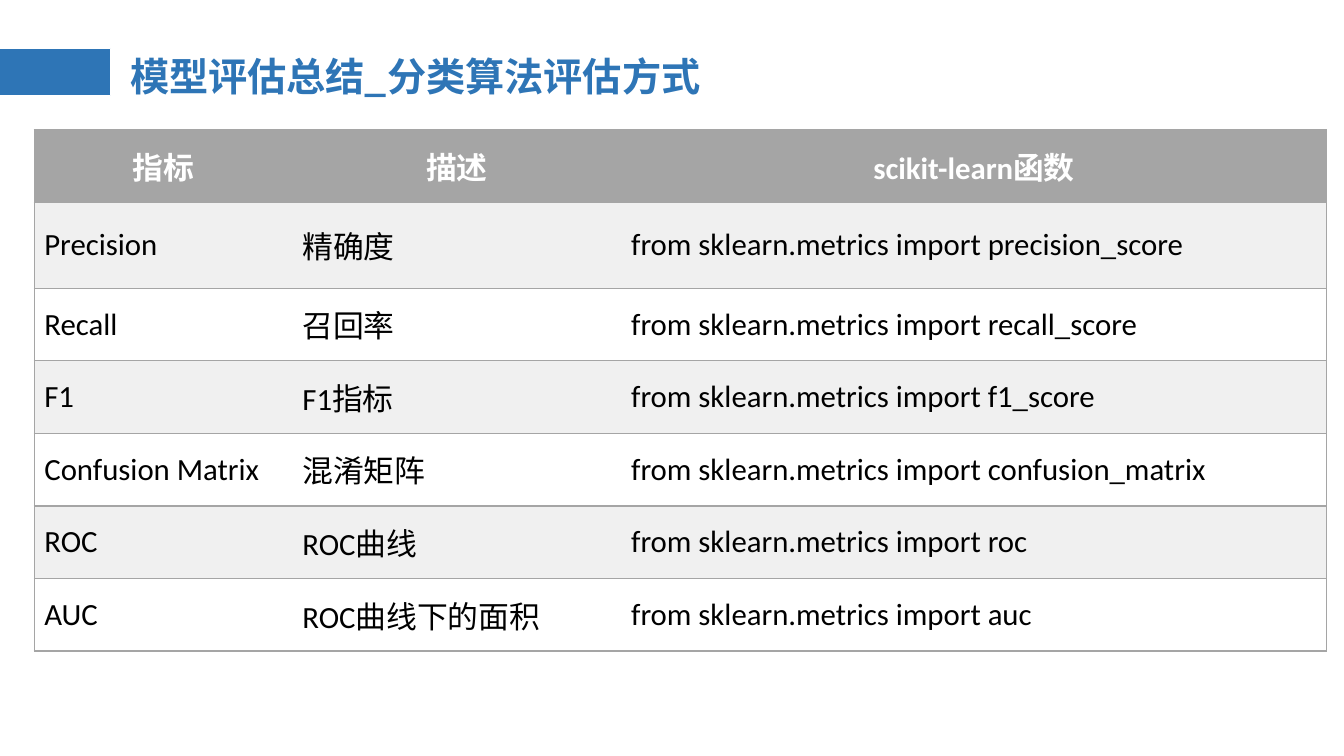
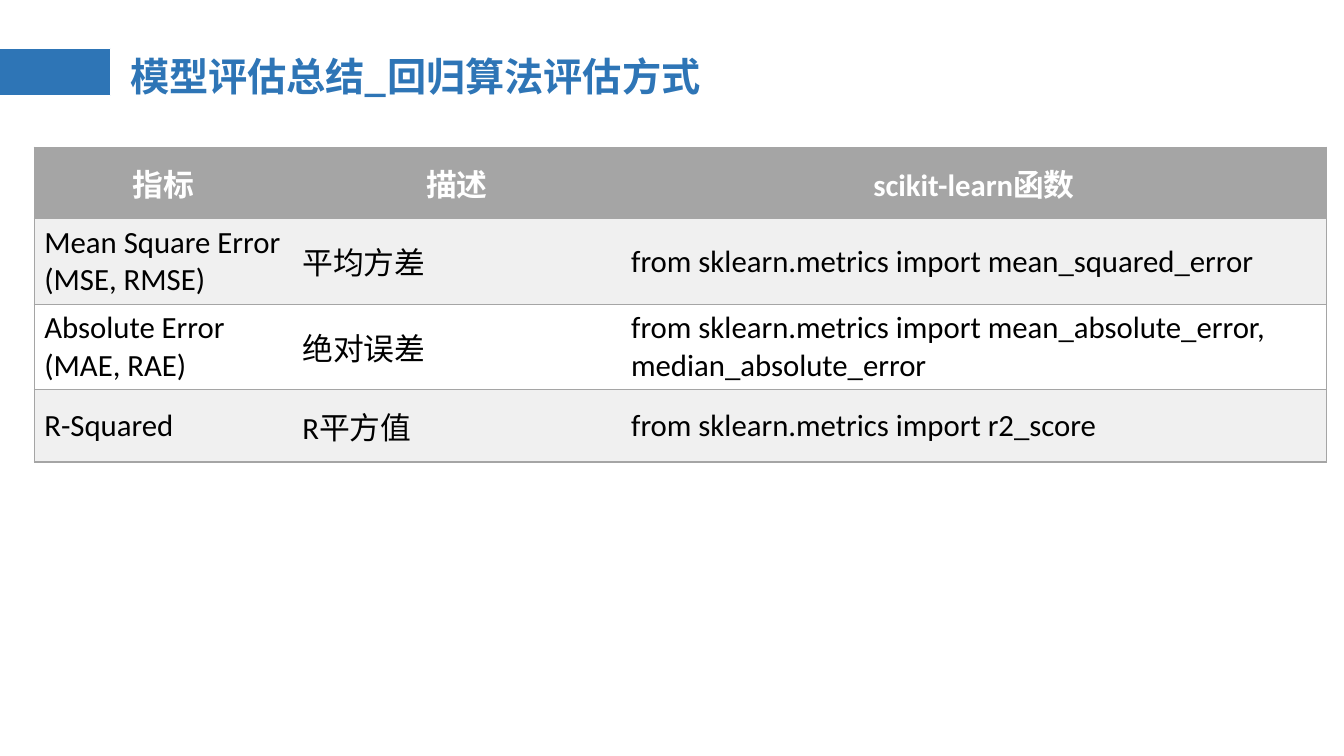
from dataclasses import dataclass

from lxml import etree
from pptx import Presentation
from pptx.dml.color import RGBColor
from pptx.enum import shapes, text
from pptx.oxml import ns
from pptx.util import Inches, Pt

COLORS = {
    "accent": "2E75B6",
    "grid": "A5A5A5",
    "stripe": "F0F0F0",
    "white": "FFFFFF",
    "black": "000000",
}
TITLE_FONT = "Noto Sans CJK SC"
TABLE_FONT = "Calibri"
PLAIN_TABLE_STYLE = "{2D5ABB26-0587-4C30-8999-92F81FD0307C}"
TITLE_ONLY = 5
TABLE_LEFT = 0.34
COLUMN_WIDTHS = (2.56, 3.26, 7.0)
HEADER = ("指标", "描述", "scikit-learn函数")
IMPORT = "from sklearn.metrics import "


@dataclass(frozen=True)
class Metric:
    name: str
    description: str
    functions: str
    height: float = 0.72

    def cells(self) -> tuple[str, str, str]:
        return self.name, self.description, IMPORT + self.functions


@dataclass(frozen=True)
class MetricSlide:
    title: str
    table_top: float
    header_height: float
    metrics: tuple[Metric, ...]


SLIDES = (
    MetricSlide("模型评估总结_分类算法评估方式", 1.29, 0.72, (
        Metric("Precision", "精确度", "precision_score", 0.85),
        Metric("Recall", "召回率", "recall_score"),
        Metric("F1", "F1指标", "f1_score"),
        Metric("Confusion Matrix", "混淆矩阵", "confusion_matrix"),
        Metric("ROC", "ROC曲线", "roc"),
        Metric("AUC", "ROC曲线下的面积", "auc"),
    )),
    MetricSlide("模型评估总结_回归算法评估方式", 1.46, 0.71, (
        Metric("Mean Square Error (MSE, RMSE)", "平均方差",
               "mean_squared_error", 0.85),
        Metric("Absolute Error (MAE, RAE)", "绝对误差",
               "mean_absolute_error, median_absolute_error", 0.83),
        Metric("R-Squared", "R平方值", "r2_score"),
    )),
)


def rgb(name: str) -> RGBColor:
    return RGBColor.from_string(COLORS[name])


def add_run(p, content: str, font: str, size: float, color: str, bold: bool):
    r = p.add_run()
    r.text = content
    r.font.name = font
    r.font.size = Pt(size)
    r.font.bold = bold
    r.font.color.rgb = rgb(color)
    return r


def add_band(s) -> None:
    sp = s.shapes.add_shape(shapes.MSO_SHAPE.RECTANGLE, Inches(0),
                            Inches(0.48), Inches(1.1), Inches(0.47))
    sp.shadow.inherit = False
    sp.fill.solid()
    sp.fill.fore_color.rgb = rgb("accent")
    sp.line.color.rgb = rgb("white")
    sp.line.width = Pt(0.75)


def set_title(s, title: str) -> None:
    sp = s.shapes.title
    sp.left, sp.top = Inches(1.19), Inches(0.18)
    sp.width, sp.height = Inches(11.5), Inches(1.2)
    tf = sp.text_frame
    tf.vertical_anchor = text.MSO_ANCHOR.MIDDLE
    p = tf.paragraphs[0]
    p.alignment = text.PP_ALIGN.LEFT
    p.line_spacing = 0.9
    r = add_run(p, title, TITLE_FONT, 28, "accent", True)
    ea = etree.SubElement(r.font._element, ns.qn("a:ea"))
    ea.set("typeface", TITLE_FONT)


def set_borders(cell, sides: str) -> None:
    """Draw grid lines on the given sides, named by L, R, T and B in that order."""
    tc_pr = cell._tc.get_or_add_tcPr()
    for side in sides:
        ln = etree.SubElement(tc_pr, ns.qn(f"a:ln{side}"), w=str(Pt(1)))
        fill = etree.SubElement(ln, ns.qn("a:solidFill"))
        etree.SubElement(fill, ns.qn("a:srgbClr"), val=COLORS["grid"])


def fill_cell(cell, content: str, row: int, column: int) -> None:
    is_header = row == 0
    outer_side = {0: "L", len(COLUMN_WIDTHS) - 1: "R"}.get(column, "")
    set_borders(cell, outer_side + "TB")
    cell.fill.solid()
    cell.fill.fore_color.rgb = rgb(
        "grid" if is_header else "stripe" if row % 2 else "white")
    cell.vertical_anchor = text.MSO_ANCHOR.MIDDLE
    p = cell.text_frame.paragraphs[0]
    p.alignment = text.PP_ALIGN.CENTER if is_header else text.PP_ALIGN.LEFT
    add_run(p, content, TABLE_FONT, 22,
            "white" if is_header else "black", is_header)


def add_metric_table(s, content: MetricSlide) -> None:
    rows = [HEADER, *(metric.cells() for metric in content.metrics)]
    heights = [content.header_height, *(m.height for m in content.metrics)]
    frame = s.shapes.add_table(
        len(rows), len(HEADER), Inches(TABLE_LEFT), Inches(content.table_top),
        Inches(sum(COLUMN_WIDTHS)), Inches(sum(heights)))
    table = frame.table
    table._tbl.tblPr.find(ns.qn("a:tableStyleId")).text = PLAIN_TABLE_STYLE
    table.horz_banding = False
    for column, width in zip(table.columns, COLUMN_WIDTHS):
        column.width = Inches(width)
    for i, (values, height) in enumerate(zip(rows, heights)):
        table.rows[i].height = Inches(height)
        for j, value in enumerate(values):
            fill_cell(table.cell(i, j), value, i, j)


def main() -> None:
    prs = Presentation()
    prs.slide_width, prs.slide_height = Inches(13.33), Inches(7.5)
    for content in SLIDES:
        s = prs.slides.add_slide(prs.slide_layouts[TITLE_ONLY])
        add_band(s)
        set_title(s, content.title)
        add_metric_table(s, content)
    prs.save("out.pptx")


if __name__ == "__main__":
    main()
